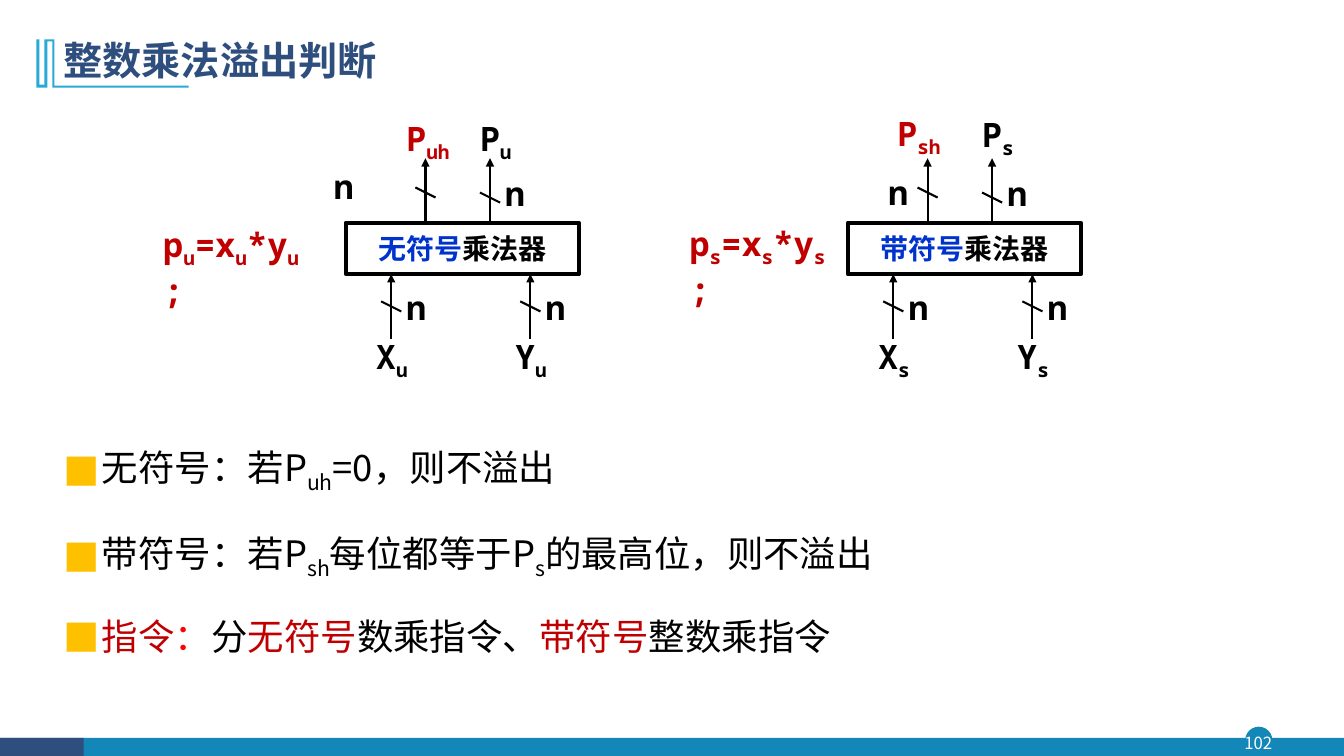
from dataclasses import dataclass

from lxml import etree
from pptx import Presentation
from pptx.dml.color import RGBColor
from pptx.enum.shapes import MSO_CONNECTOR, MSO_SHAPE
from pptx.enum.text import MSO_ANCHOR, MSO_AUTO_SIZE, PP_ALIGN
from pptx.oxml.ns import qn
from pptx.util import Inches, Pt

LEFT, CENTER, JUSTIFY = PP_ALIGN.LEFT, PP_ALIGN.CENTER, PP_ALIGN.JUSTIFY
TOP, MIDDLE = MSO_ANCHOR.TOP, MSO_ANCHOR.MIDDLE
RECTANGLE, OVAL = MSO_SHAPE.RECTANGLE, MSO_SHAPE.OVAL
STRAIGHT = MSO_CONNECTOR.STRAIGHT
NO_AUTOFIT = MSO_AUTO_SIZE.NONE


@dataclass(frozen=True)
class Theme:
    sans: str = "Noto Sans CJK SC"
    mono: str = "Noto Sans Mono"
    navy: str = "2E4E7E"
    teal: str = "1387B7"
    sky: str = "28A9D6"
    black: str = "000000"
    white: str = "FFFFFF"
    blue: str = "0033CC"
    dark_red: str = "C00000"
    red: str = "FF0000"
    amber: str = "FFC000"
    title_size: int = 28
    body_size: int = 26
    label_size: int = 24
    box_size: int = 20
    number_size: int = 12


THEME = Theme()


def grid(cells):
    """Columns and rows are both a tenth of an inch."""
    return Inches(cells / 10)


def place(shape, left, top, width, height):
    shape.left, shape.top = grid(left), grid(top)
    shape.width, shape.height = grid(width), grid(height)


def write(paragraph, runs, size, font, bold=False):
    """Each run is (text, colour) or (text, colour, True) for a subscript."""
    for text, color, *subscript in runs:
        run = paragraph.add_run()
        run.text = text
        run.font.size, run.font.bold = Pt(size), bold
        run.font.color.rgb = RGBColor.from_string(color)
        run.font.name = font
        properties = run.font._element
        etree.SubElement(properties, qn("a:ea")).set("typeface", THEME.sans)
        if subscript:
            properties.set("baseline", "-25000")


def set_frame(shape, anchor, margin=None):
    frame = shape.text_frame
    frame.word_wrap, frame.auto_size = True, NO_AUTOFIT
    frame.vertical_anchor = anchor
    if margin is not None:
        frame.margin_left = frame.margin_right = margin
        frame.margin_top = frame.margin_bottom = margin
    return frame.paragraphs[0]


def add_bullet(paragraph):
    properties = paragraph._p.get_or_add_pPr()
    properties.set("marL", str(grid(3.8)))
    properties.set("indent", str(-grid(3.8)))
    color = etree.SubElement(properties, qn("a:buClr"))
    etree.SubElement(color, qn("a:srgbClr")).set("val", THEME.amber)
    etree.SubElement(properties, qn("a:buFont")).set("typeface", THEME.sans)
    etree.SubElement(properties, qn("a:buChar")).set("char", "■")


def add_block(shapes, kind, area, color):
    block = shapes.add_shape(kind, *map(grid, area))
    block.shadow.inherit = False
    block.fill.solid()
    block.fill.fore_color.rgb = RGBColor.from_string(color)
    block.line.fill.background()


def add_label(shapes, left, top, runs, width=5.9):
    label = shapes.add_textbox(grid(left), grid(top), grid(width), grid(5))
    write(set_frame(label, TOP), runs, THEME.label_size, THEME.mono, True)


def add_line(shapes, start, end, arrow=False):
    line = shapes.add_connector(STRAIGHT, *map(grid, (*start, *end)))
    line.line.color.rgb = RGBColor.from_string(THEME.black)
    line.line.width = Pt(1.5)
    if arrow:
        outline = line.line._get_or_add_ln()
        etree.SubElement(outline, qn("a:tailEnd")).set("type", "triangle")
    etree.SubElement(line._element.spPr, qn("a:effectLst"))


def add_bus(shapes, x, bottom, slash_y):
    """An upward arrow crossed by the short stroke that marks a bus."""
    add_line(shapes, (x, bottom), (x, bottom - 6.4), arrow=True)
    add_line(shapes, (x - 1, slash_y - 0.5), (x + 1, slash_y + 0.5))


def add_multiplier(slide, left, kind, sign, formula_at, high_at, low_top, high_n_at):
    shapes = slide.shapes.add_group_shape().shapes
    black, dark_red = THEME.black, THEME.dark_red

    # Multiplier box
    box = shapes.add_shape(RECTANGLE, *map(grid, (left, 22.1, 23.1, 5.1)))
    box.shadow.inherit = False
    box.fill.background()
    box.line.color.rgb = RGBColor.from_string(black)
    box.line.width = Pt(3)
    paragraph = set_frame(box, MIDDLE)
    paragraph.alignment = CENTER
    write(paragraph, [(kind, THEME.blue), ("乘法器", black)],
          THEME.box_size, THEME.mono, True)

    # Inputs X and Y
    for name, offset in (("X", 4.5), ("Y", 18.3)):
        x = left + offset
        add_bus(shapes, x, 33.6, 30.4)
        add_label(shapes, x - 2.5, 32.8, [(name, black), (sign, black, True)])
        add_label(shapes, x + 0.5, 28, [("n", black)])

    # Outputs: high half and low half of the product
    add_bus(shapes, left + 7.9, 22.1, 19.1)
    add_bus(shapes, left + 14.3, 22.1, 19.6)
    add_label(shapes, *high_at, [("P", dark_red), (sign + "h", dark_red, True)], 7.4)
    add_label(shapes, left + 12.3, low_top, [("P", black), (sign, black, True)])
    add_label(shapes, *high_n_at, [("n", black)])
    add_label(shapes, left + 14.8, 16.7, [("n", black)])

    # Formula
    formula = []
    for part in ("p", "=x", "*y"):
        formula += [(part, dark_red), (sign, dark_red, True)]
    add_label(shapes, *formula_at, formula + [(";", dark_red)], 16.9)


def add_decoration(slide):
    shapes = slide.shapes
    # Footer band and page number
    add_block(shapes, OVAL, (123.5, 72.1, 2.7, 2.7), THEME.teal)
    add_block(shapes, RECTANGLE, (0, 73.2, 133.3, 1.8), THEME.teal)
    add_block(shapes, RECTANGLE, (0, 73.2, 8.3, 1.8), THEME.navy)
    number = shapes.add_textbox(*map(grid, (123.2, 72.1, 3.2, 3.1)))
    paragraph = set_frame(number, MIDDLE, 0)
    paragraph.alignment = CENTER
    write(paragraph, [("102", THEME.white)], THEME.number_size, THEME.sans)

    # Title bracket
    points = [(5.4, 3.9), (5.4, 8.5), (18.7, 8.5), (18.7, 8.7), (5.2, 8.7),
              (5.2, 4.1), (4.7, 4.1), (4.7, 8.7), (3.6, 8.7), (3.6, 3.9),
              (3.9, 3.9), (3.9, 8.4), (4.4, 8.4), (4.4, 3.9)]
    corners = [(grid(x), grid(y)) for x, y in points]
    builder = shapes.build_freeform(*corners[0])
    builder.add_line_segments(corners[1:], close=True)
    bracket = builder.convert_to_shape()
    bracket.shadow.inherit = False
    bracket.fill.solid()
    bracket.fill.fore_color.rgb = RGBColor.from_string(THEME.sky)
    bracket.line.fill.background()


def fill_title(title):
    place(title, 5.3, 2.8, 115, 6.8)
    paragraph = set_frame(title, MIDDLE)
    paragraph.alignment, paragraph.line_spacing = LEFT, 0.9
    write(paragraph, [("整数乘法溢出判断", THEME.navy)],
          THEME.title_size, THEME.sans, True)


def fill_body(body, items):
    place(body, 5.3, 41.2, 115, 29.6)
    paragraph = set_frame(body, TOP)
    for index, runs in enumerate(items):
        if index:
            paragraph = body.text_frame.add_paragraph()
        paragraph.alignment, paragraph.line_spacing = JUSTIFY, 1.5
        paragraph.space_before = Pt(8 if index else 0)
        add_bullet(paragraph)
        write(paragraph, runs, THEME.body_size, THEME.sans)


def main():
    presentation = Presentation()
    presentation.slide_width, presentation.slide_height = Inches(13.33), Inches(7.5)
    slide = presentation.slides.add_slide(presentation.slide_layouts[1])
    add_decoration(slide)
    fill_title(slide.shapes.title)

    black, dark_red = THEME.black, THEME.dark_red
    fill_body(slide.placeholders[1], [
        [("无符号：若P", black), ("uh", black, True), ("=0，则不溢出", black)],
        [("带符号：若P", black), ("sh", black, True), ("每位都等于P", black),
         ("s", black, True), ("的最高位，则不溢出", black)],
        [("指令", dark_red), ("：", THEME.red), ("分", black), ("无符号", dark_red),
         ("数乘指令、", black), ("带符号", dark_red), ("整数乘指令", black)],
    ])

    add_multiplier(slide, 34.3, "无符号", "u", formula_at=(15.2, 21.7),
                   high_at=(39.3, 11.2), low_top=11.2, high_n_at=(32.1, 16))
    add_multiplier(slide, 84.1, "带符号", "s", formula_at=(67.4, 21.6),
                   high_at=(88, 10.7), low_top=10.8, high_n_at=(87.1, 16.6))
    presentation.save("out.pptx")


if __name__ == "__main__":
    main()
